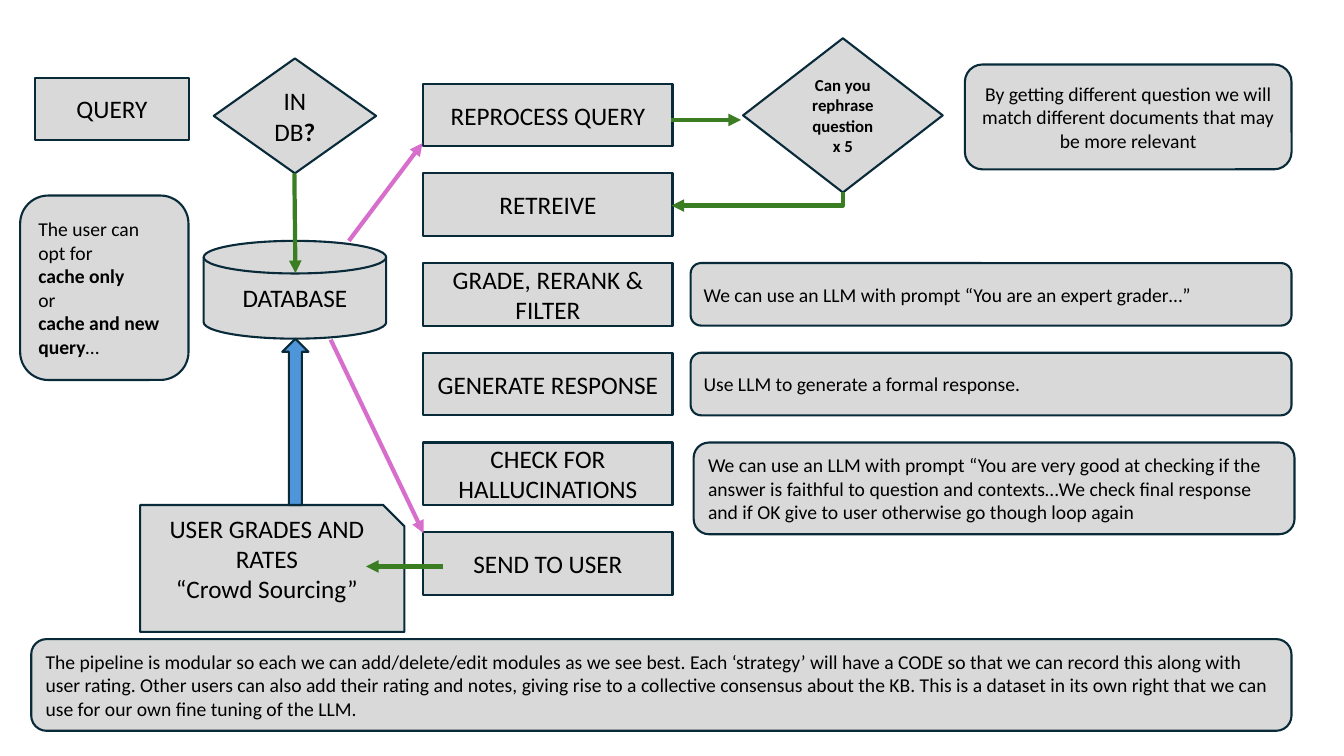
"""Build the query pipeline flowchart slide."""
from dataclasses import dataclass
from lxml.etree import SubElement
from pptx import Presentation
from pptx.dml.color import RGBColor
from pptx.enum.shapes import MSO_CONNECTOR, MSO_SHAPE
from pptx.enum.text import MSO_ANCHOR, PP_ALIGN
from pptx.oxml.ns import qn
from pptx.util import Inches, Pt

GREY, NAVY, BLACK = "D9D9D9", "092A39", "000000"
BLUE, GREEN, PINK = "4E95D9", "3B7D23", "D86ECC"
STEP, NOTE = MSO_SHAPE.FLOWCHART_PROCESS, MSO_SHAPE.ROUNDED_RECTANGLE
TEST = MSO_SHAPE.FLOWCHART_DECISION
TOP, PITCH, HIGH = 0.83, 0.89, 0.62


@dataclass
class Box:
    kind: MSO_SHAPE
    left: float
    top: float
    width: float
    height: float
    text: str = ""
    size: int = 18
    align: PP_ALIGN = PP_ALIGN.CENTER
    fill: str = GREY
    foot: float = 0.05


@dataclass
class Arrow:
    start: tuple[float, float]
    end: tuple[float, float]
    color: str
    bent: bool = False


def paint(code: str) -> RGBColor:
    return RGBColor.from_string(code)


def row(index: int) -> float:
    return round(TOP + index * PITCH, 2)


def write(frame, text: str, *, size: int, align: PP_ALIGN, color: str = BLACK) -> None:
    """Fill a frame, one paragraph a line, with bold between asterisks."""
    for index, line in enumerate(text.split("\n")):
        para = frame.add_paragraph() if index else frame.paragraphs[0]
        para.alignment = align
        for part, words in enumerate(line.split("*")):
            if words:
                run = para.add_run()
                run.text = words
                run.font.name = "Calibri"
                run.font.size = Pt(size)
                run.font.bold = part % 2 == 1
                run.font.color.rgb = paint(color)


def draw_box(slide, box: Box) -> None:
    shape = slide.shapes.add_shape(
        box.kind, Inches(box.left), Inches(box.top), Inches(box.width), Inches(box.height))
    shape.shadow.inherit = False
    shape.fill.solid()
    shape.fill.fore_color.rgb = paint(box.fill)
    shape.line.color.rgb = paint(NAVY)
    shape.line.width = Pt(1.5)
    frame = shape.text_frame
    frame.word_wrap = True
    frame.vertical_anchor = MSO_ANCHOR.MIDDLE
    frame.margin_bottom = Inches(box.foot)
    if box.text:
        write(frame, box.text, size=box.size, align=box.align)


def draw_arrow(slide, arrow: Arrow) -> None:
    (left, top), (right, low) = arrow.start, arrow.end
    if arrow.bent:
        mid_x, mid_y = (left + right) / 2, (top + low) / 2
        half_w, half_h = (low - top) / 2, (left - right) / 2
        left, right = mid_x - half_w, mid_x + half_w
        top, low = mid_y - half_h, mid_y + half_h
    kind = MSO_CONNECTOR.ELBOW if arrow.bent else MSO_CONNECTOR.STRAIGHT
    link = slide.shapes.add_connector(
        kind, Inches(left), Inches(top), Inches(right), Inches(low))
    link.line.color.rgb = paint(arrow.color)
    link.line.width = Pt(3)
    props = link._element.spPr
    if arrow.bent:
        props.find(qn("a:xfrm")).set("rot", "5400000")
        props.find(qn("a:prstGeom")).set("prst", "bentConnector2")
    SubElement(props.find(qn("a:ln")), qn("a:tailEnd"), type="triangle")
    SubElement(props, qn("a:effectLst"))


STEPS = ["REPROCESS QUERY", "RETREIVE", "GRADE, RERANK & FILTER",
         "GENERATE RESPONSE", "CHECK FOR\nHALLUCINATIONS", "SEND TO USER"]

NOTES = [
    Box(NOTE, 6.85, row(2), 5.96, HIGH,
        "We can use an LLM with prompt “You are an expert grader…”"),
    Box(NOTE, 6.85, row(3), 5.96, HIGH, "Use LLM to generate a formal response."),
    Box(NOTE, 6.88, row(4), 5.96, 0.91,
        "We can use an LLM with prompt “You are very good at checking if the answer is "
        "faithful to question and contexts…We check final response and if OK give to "
        "user otherwise go though loop again"),
    Box(NOTE, 0.2, 1.94, 1.67, 1.83,
        "The user can opt for\n*cache only*\nor\n*cache and new query*…"),
    Box(NOTE, 0.31, 6.34, 12.5, 0.91,
        "The pipeline is modular so each we can add/delete/edit modules as we see best. "
        "Each ‘strategy’ will have a CODE so that we can record this along with user "
        "rating. Other users can also add their rating and notes, giving rise to a "
        "collective consensus about the KB. This is a dataset in its own right that we "
        "can use for our own fine tuning of the LLM."),
]

NODES = [
    Box(STEP, 0.35, 0.77, 1.52, HIGH, "QUERY"),
    Box(TEST, 2.12, 0.58, 1.61, 1.14, "IN DB*?*"),
    Box(MSO_SHAPE.FLOWCHART_MAGNETIC_DISK, 2.02, 2.39, 1.81, 0.97, "DATABASE"),
    Box(TEST, 7.37, 0.38, 1.98, 1.53, "*Can you rephrase question*\n*x 5*", 12),
    Box(NOTE, 9.57, 0.64, 3.24, 1.04,
        "By getting different question we will match different documents that may be "
        "more relevant", 14),
    Box(MSO_SHAPE.SNIP_1_RECTANGLE, 1.39, 5.01, 2.62, 1.26,
        "USER GRADES AND RATES\n“Crowd Sourcing”", foot=0.35),
    Box(MSO_SHAPE.UP_ARROW, 2.8, 3.36, 0.26, 1.65, fill=BLUE),
]

ARROWS = [
    Arrow((3.28, 3.37), (4.2, 5.29), PINK),
    Arrow((3.46, 2.39), (4.19, 1.42), PINK),
    Arrow((8.36, 1.91), (6.66, 2.04), GREEN, bent=True),
    Arrow((4.39, 5.62), (3.63, 5.62), GREEN),
    Arrow((6.66, 1.19), (7.35, 1.19), GREEN),
    Arrow((2.92, 1.72), (2.93, 2.71), GREEN),
]


def main() -> None:
    deck = Presentation()
    deck.slide_width, deck.slide_height = Inches(13.33), Inches(7.5)
    slide = deck.slides.add_slide(deck.slide_layouts[6])
    for index, label in enumerate(STEPS):
        draw_box(slide, Box(STEP, 4.2, row(index), 2.47, HIGH, label))
    for note in NOTES:
        note.size, note.align = 14, PP_ALIGN.LEFT
        draw_box(slide, note)
    for node in NODES:
        draw_box(slide, node)
    for arrow in ARROWS:
        draw_arrow(slide, arrow)
    deck.save("out.pptx")


if __name__ == "__main__":
    main()
